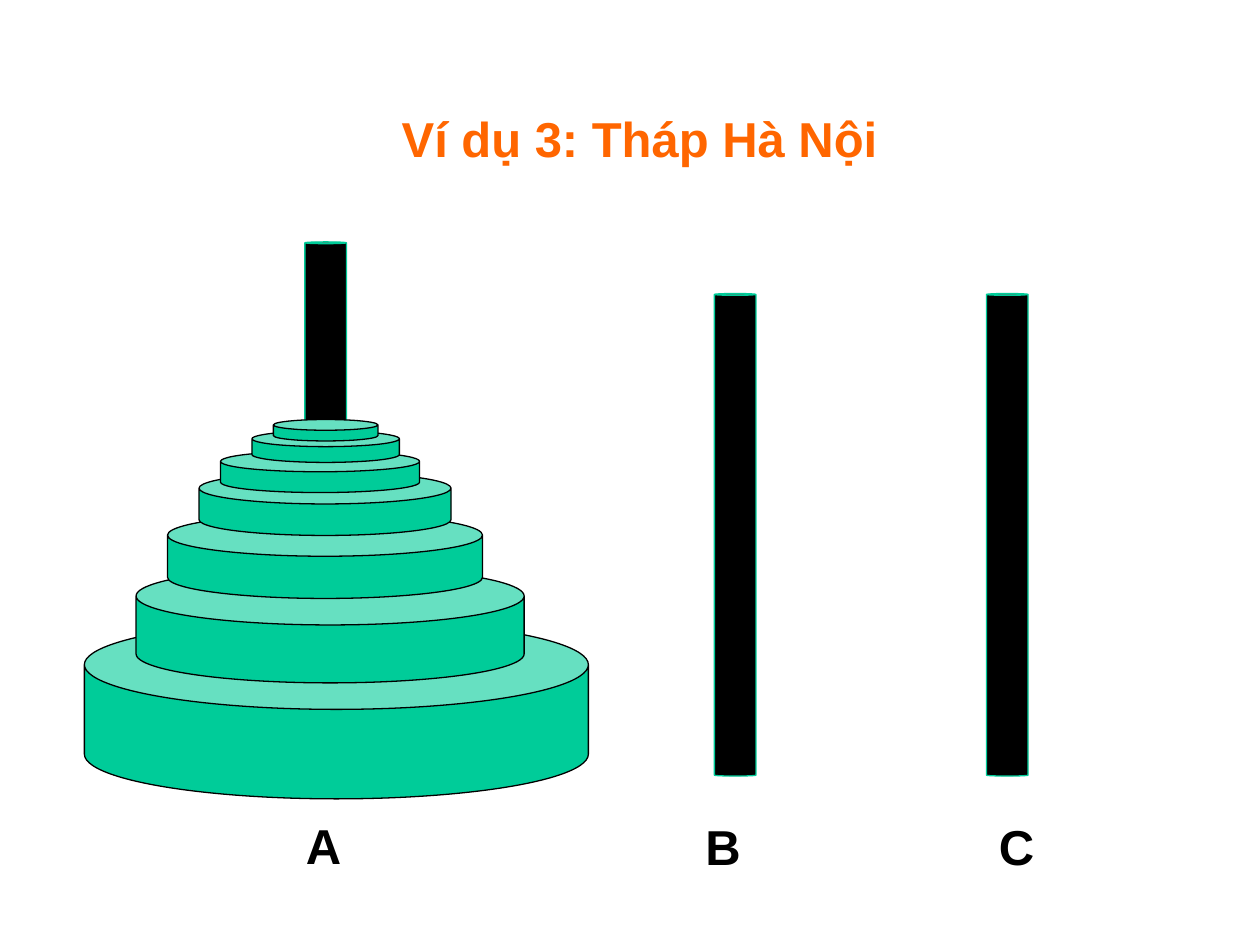
from typing import NamedTuple

from pptx import Presentation
from pptx.dml.color import RGBColor
from pptx.enum.shapes import MSO_SHAPE
from pptx.enum.text import MSO_AUTO_SIZE, PP_ALIGN
from pptx.util import Inches, Pt

CAN = MSO_SHAPE.CAN
GROW = MSO_AUTO_SIZE.SHAPE_TO_FIT_TEXT
LEFT = PP_ALIGN.LEFT
CENTER = PP_ALIGN.CENTER

BLACK = "000000"
GREEN = "00CC99"
ORANGE = "FF6600"


class Box(NamedTuple):
    left: float
    top: float
    width: float
    height: float


class Label(NamedTuple):
    text: str
    box: Box
    color: str = BLACK
    align: PP_ALIGN = LEFT
    space: float = 1.0
    indent: float = 0


RODS = [
    Box(5.67, 2.33, 0.33, 3.83),
    Box(7.83, 2.33, 0.33, 3.83),
    Box(2.42, 1.92, 0.33, 1.5),
]
DISKS = [
    Box(0.67, 4.92, 4, 1.42),
    Box(1.08, 4.5, 3.08, 0.92),
    Box(1.33, 4.08, 2.5, 0.67),
    Box(1.58, 3.75, 2, 0.5),
    Box(1.75, 3.58, 1.58, 0.33),
    Box(2, 3.42, 1.17, 0.25),
    Box(2.17, 3.33, 0.83, 0.17),
]
TITLE = Label("Ví dụ 3: Tháp Hà Nội ", Box(0.83, 0.67, 8.5, 0.71), ORANGE, CENTER, 1.3, 0.1)
NAMES = [
    Label("A", Box(2.33, 6.42, 0.58, 0.57)),
    Label("B", Box(5.5, 6.43, 0.58, 0.57)),
    Label("C", Box(7.83, 6.43, 0.58, 0.57)),
]


def paint(target, color: str) -> None:
    target.rgb = RGBColor.from_string(color)


def add_can(shapes, box: Box, bend: float, fill: str, line: str) -> None:
    can = shapes.add_shape(CAN, *map(Inches, box))
    can.adjustments[0] = bend
    can.shadow.inherit = False
    can.fill.solid()
    paint(can.fill.fore_color, fill)
    paint(can.line.color, line)
    can.line.width = Pt(0.75)


def add_label(shapes, label: Label) -> None:
    frame = shapes.add_textbox(*map(Inches, label.box)).text_frame
    frame.word_wrap = True
    frame.auto_size = GROW
    para = frame.paragraphs[0]
    para.text = label.text
    para.alignment = label.align
    para.line_spacing = label.space
    if label.indent:
        para._p.get_or_add_pPr().set("marL", str(Inches(label.indent)))
    para.font.name = "Arial"
    para.font.size = Pt(28)
    para.font.bold = True
    paint(para.font.color, label.color)


def main() -> None:
    deck = Presentation()
    deck.slide_width = Inches(10)
    deck.slide_height = Inches(7.5)
    shapes = deck.slides.add_slide(deck.slide_layouts[6]).shapes

    add_label(shapes, TITLE)
    for rod in RODS:
        add_can(shapes, rod, 0.043, BLACK, GREEN)
    tower = shapes.add_group_shape()
    for disk in DISKS:
        add_can(tower.shapes, disk, 0.5, GREEN, BLACK)
    for name in NAMES:
        add_label(shapes, name)

    deck.save("out.pptx")


if __name__ == "__main__":
    main()
